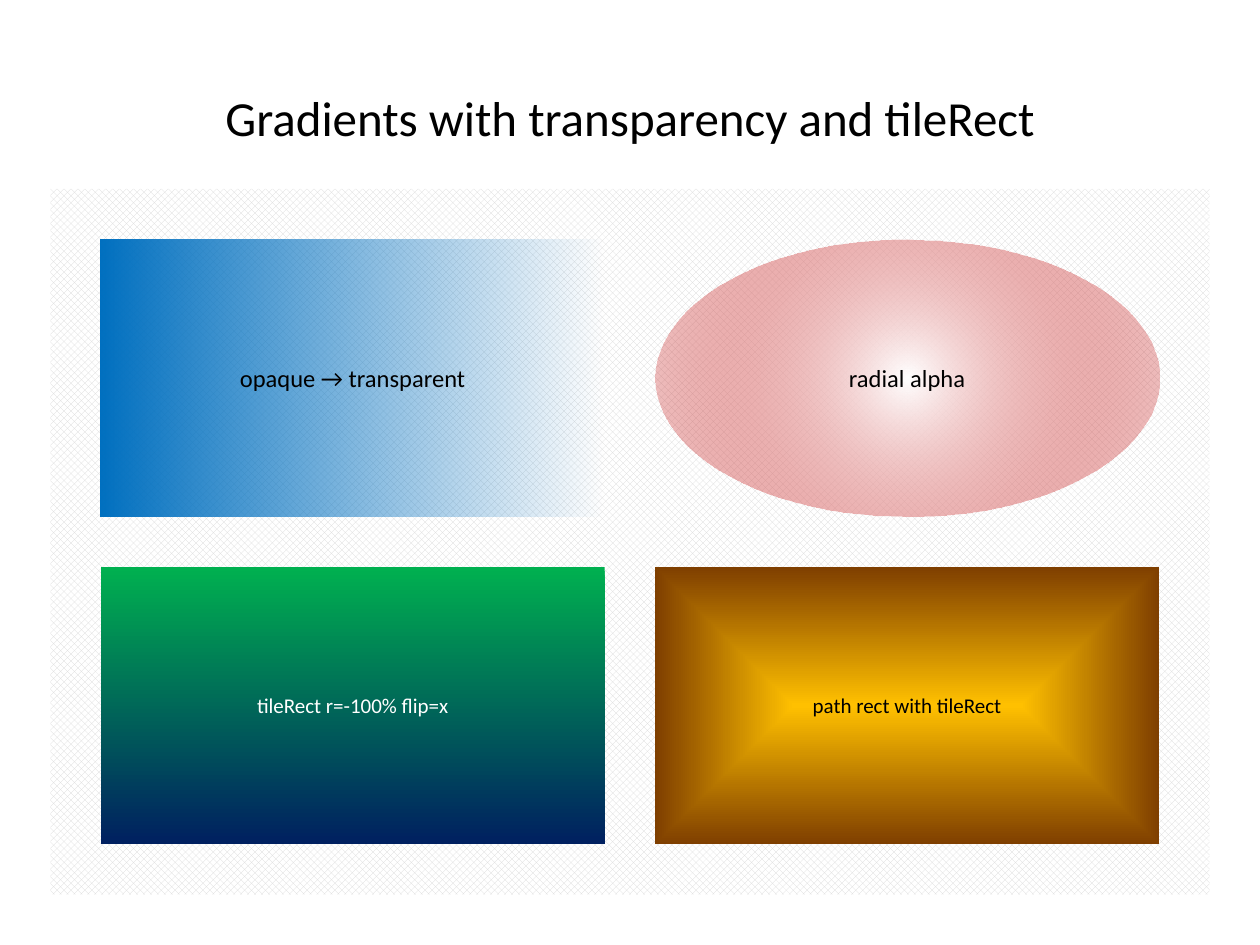
from pptx import Presentation
from pptx.dml.color import RGBColor
from pptx.enum.dml import MSO_PATTERN
from pptx.enum.shapes import MSO_SHAPE
from pptx.enum.text import MSO_ANCHOR, PP_ALIGN
from pptx.oxml import parse_xml
from pptx.oxml.ns import nsdecls, qn
from pptx.util import Pt

PX = 9144  # 100 px to the inch
FONT = "Calibri"

LINEAR = '<a:lin ang="{}" scaled="0"/>'
CENTRED = '<a:path path="{}"><a:fillToRect l="50000" t="50000" r="50000" b="50000"/></a:path>'
TILE_FLIPPED = '<a:tileRect r="-100000"/>'

# shape, (start, end, end opacity in %), gradient direction, label, size, label colour
SAMPLES = [
    (MSO_SHAPE.RECTANGLE, ("0070C0", "0070C0", 0), LINEAR.format(0),
     "opaque → transparent", 14, "000000"),
    (MSO_SHAPE.OVAL, ("FFFFFF", "C00000", 20), CENTRED.format("circle"),
     "radial alpha", 14, "000000"),
    (MSO_SHAPE.RECTANGLE, ("00B050", "002060", 100), LINEAR.format(5400000) + TILE_FLIPPED,
     "tileRect r=-100% flip=x", 12, "FFFFFF"),
    (MSO_SHAPE.RECTANGLE, ("FFC000", "7F3F00", 100), CENTRED.format("rect"),
     "path rect with tileRect", 12, "000000"),
]


def color(hex_string):
    return RGBColor.from_string(hex_string)


def emu(*lengths):
    return [length * PX for length in lengths]


def write(shape, text, size, text_color):
    """Put one centred line of text in the middle of a shape."""
    frame = shape.text_frame
    frame.word_wrap = True
    frame.vertical_anchor = MSO_ANCHOR.MIDDLE
    frame.text = text
    para = frame.paragraphs[0]
    para.alignment = PP_ALIGN.CENTER
    font = para.runs[0].font
    font.name, font.size = FONT, Pt(size)
    font.color.rgb = color(text_color)


def add_plain_shape(slide, kind, box):
    """Add a shape with no shadow, outline or fill."""
    shape = slide.shapes.add_shape(kind, *emu(*box))
    shape.shadow.inherit = False
    shape.line.fill.background()
    shape.fill.background()
    return shape


def fill_gradient(shape, start, end, opacity, direction):
    """Fill from an opaque start colour to an end colour with an opacity in %."""
    properties = shape._element.spPr
    gradient = parse_xml(
        f'<a:gradFill {nsdecls("a")} flip="{"x" if TILE_FLIPPED in direction else "none"}" '
        f'rotWithShape="1"><a:gsLst>'
        f'<a:gs pos="0"><a:srgbClr val="{start}"/></a:gs>'
        f'<a:gs pos="100000"><a:srgbClr val="{end}">'
        f'<a:alpha val="{opacity * 1000}"/></a:srgbClr></a:gs>'
        f'</a:gsLst>{direction}</a:gradFill>')
    properties.replace(properties.find(qn("a:noFill")), gradient)


def add_title(slide, box):
    title = slide.shapes.add_textbox(*emu(*box))
    write(title, "Gradients with transparency and tileRect", 28, "000000")


def add_sample_panel(slide, box):
    """Draw the patterned panel and its two-by-two grid of gradient samples."""
    panel = add_plain_shape(slide, MSO_SHAPE.RECTANGLE, box)
    panel.fill.patterned()
    panel.fill.pattern = MSO_PATTERN.OUTLINED_DIAMOND
    panel.fill.fore_color.rgb = color("D9D9D9")
    panel.fill.back_color.rgb = color("FFFFFF")

    left, top, width, height = box
    gap = 40
    sample_width = (width - 3 * gap) // 2
    sample_height = (height - 3 * gap) // 2
    for index, (kind, stops, direction, label, size, label_color) in enumerate(SAMPLES):
        row, column = divmod(index, 2)
        sample = add_plain_shape(slide, kind, (
            left + gap + column * (sample_width + gap),
            top + gap + row * (sample_height + gap),
            sample_width, sample_height))
        fill_gradient(sample, *stops, direction)
        write(sample, label, size, label_color)


def main():
    deck = Presentation()
    deck.slide_width, deck.slide_height = emu(1000, 750)
    slide = deck.slides.add_slide(deck.slide_layouts[6])
    add_title(slide, (50, 30, 900, 125))
    add_sample_panel(slide, (40, 150, 920, 560))
    deck.save("out.pptx")


if __name__ == "__main__":
    main()
